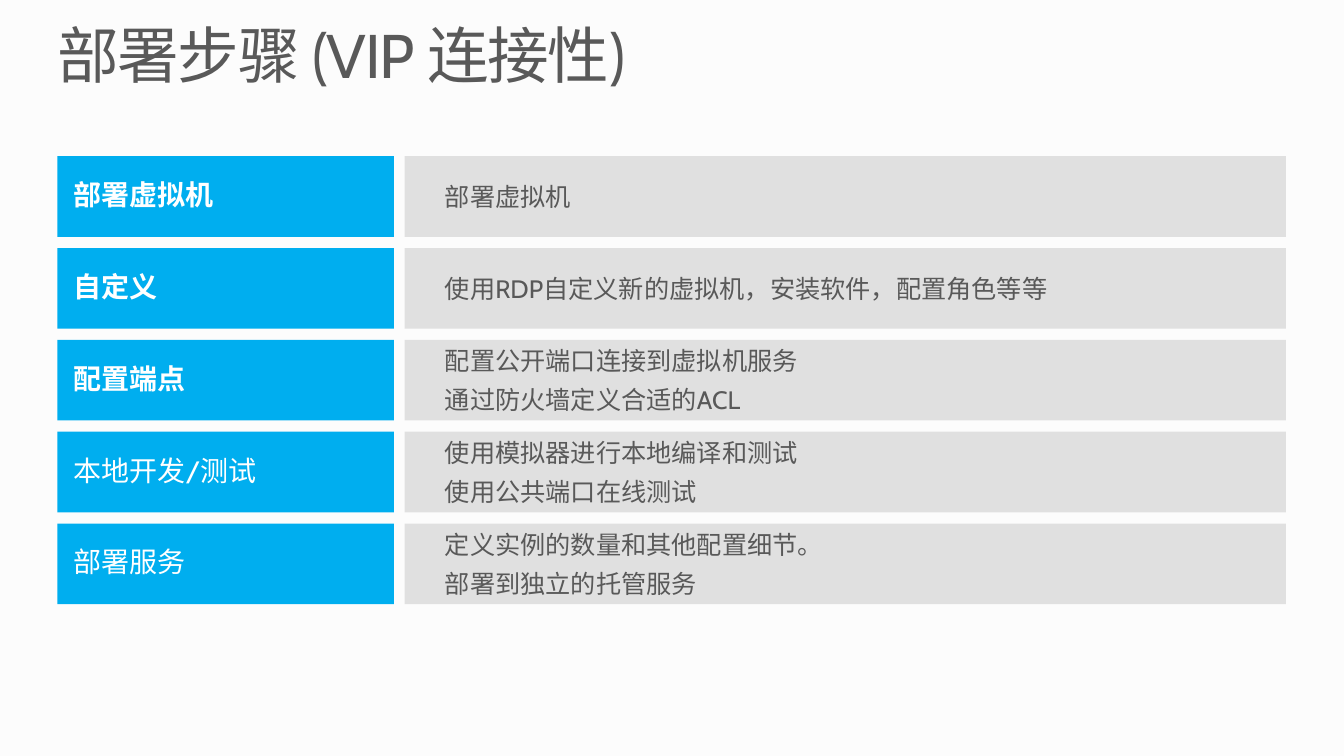
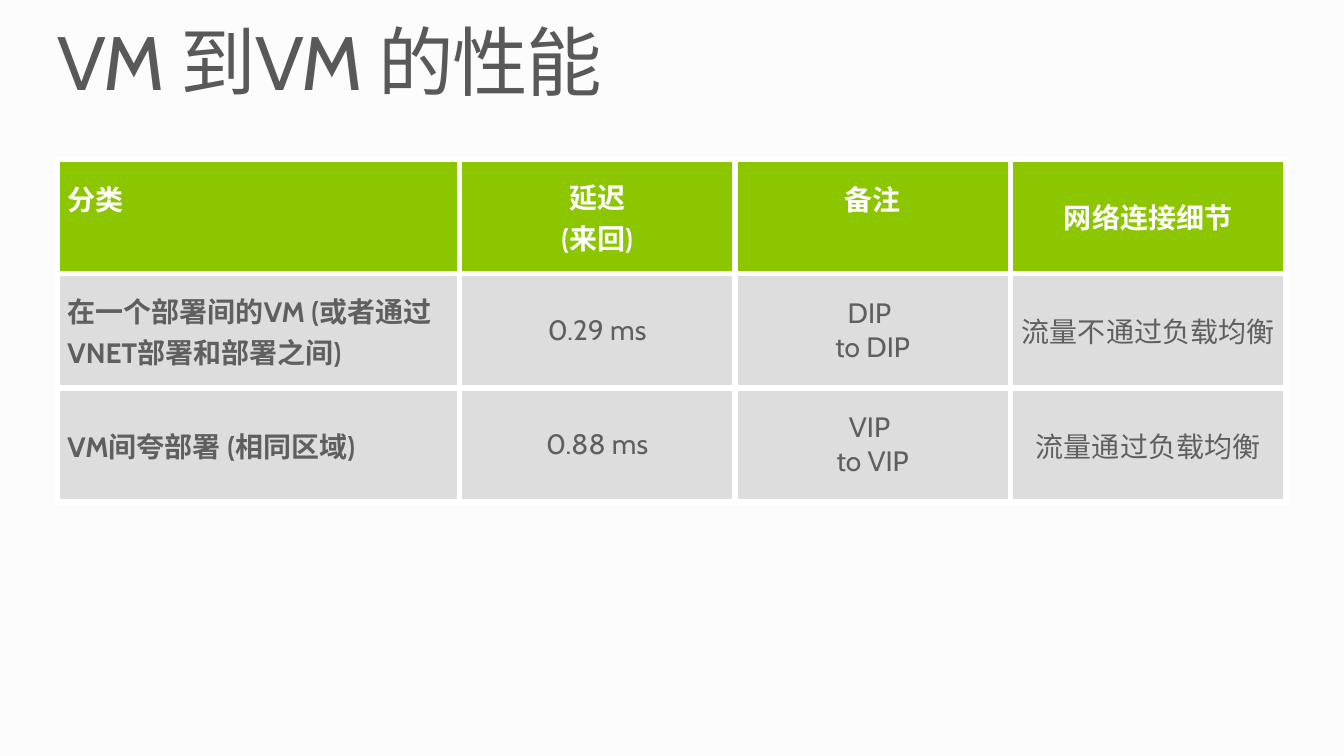
from lxml.etree import SubElement
from pptx import Presentation
from pptx.dml.color import RGBColor
from pptx.enum.shapes import MSO_SHAPE as Shape
from pptx.enum.text import MSO_ANCHOR as Anchor, PP_ALIGN as Align
from pptx.oxml.ns import qn
from pptx.util import Pt

COLORS = {
    "background": "FCFCFC",
    "text": "595959",
    "table_text": "5F5F5F",
    "white": "FFFFFF",
    "blue": "00AEEF",
    "green": "8CC600",
    "gray": "DDDDDD",
}
FONT = "Cabin"
LEFT, WIDTH = 41, 877.6

STEP_TOP, STEP_PITCH, STEP_HEIGHT = 111.6, 65.6, 57.6
LABEL_WIDTH, LABEL_GAP = 240.5, 7.5
LABEL_FRAME = {
    "margin_left": Pt(11.5), "margin_right": Pt(11.5),
    "margin_top": Pt(7.2), "margin_bottom": Pt(7.2),
}
DETAIL_FRAME = {
    "margin_left": Pt(28.8), "margin_right": Pt(7.2),
    "margin_top": Pt(3.6), "margin_bottom": Pt(3.6),
}
TITLE_FRAME = dict.fromkeys(LABEL_FRAME, 0)

# label, bold label, detail lines
STEPS = [
    ("部署虚拟机", True, ["部署虚拟机"]),
    ("自定义", True, ["使用RDP自定义新的虚拟机，安装软件，配置角色等等"]),
    ("配置端点", True, ["配置公开端口连接到虚拟机服务", "通过防火墙定义合适的ACL"]),
    ("本地开发/测试", False, ["使用模拟器进行本地编译和测试", "使用公共端口在线测试"]),
    ("部署服务", False, ["定义实例的数量和其他配置细节。", "部署到独立的托管服务"]),
]

TABLE_TOP, ROW_HEIGHT = 113.8, 81.6
COLUMN_WIDTHS = [287.2, 196.8, 196.8, 196.8]
LATENCY_ROWS = [
    ["分类\n", "延迟\n(来回)", "备注\n", "网络连接细节"],
    ["在一个部署间的VM (或者通过VNET部署和部署之间)", "0.29 ms", "DIP \nto DIP", "流量不通过负载均衡"],
    ["VM间夸部署 (相同区域)", "0.88 ms", "VIP \nto VIP", "流量通过负载均衡"],
]


def set_attributes(target, values):
    for name, value in values.items():
        setattr(target, name, value)


def set_fill(fill, color):
    fill.solid()
    fill.fore_color.rgb = RGBColor.from_string(COLORS[color])


def write_paragraph(paragraph, text, size, color, bold=False, font=FONT, **formats):
    paragraph.text = text
    set_attributes(paragraph, formats)
    for run in paragraph.runs:
        set_attributes(run.font, {"name": font, "size": Pt(size), "bold": bold})
        run.font.color.rgb = RGBColor.from_string(COLORS[color])


def add_slide(presentation, title, size):
    """Add a slide with the shared background and title style."""
    slide = presentation.slides.add_slide(presentation.slide_layouts[6])
    set_fill(slide.background.fill, "background")
    box = slide.shapes.add_textbox(Pt(LEFT), Pt(18), Pt(WIDTH), Pt(size * 1.1))
    set_attributes(box.text_frame, {**TITLE_FRAME, "word_wrap": True})
    paragraph = box.text_frame.paragraphs[0]
    write_paragraph(paragraph, title, size, "text", line_spacing=0.9)
    for run in paragraph.runs:
        run.font._element.set("spc", "-100")
    return slide


def add_bar(slide, left, top, width, color, frame_format):
    bar = slide.shapes.add_shape(Shape.RECTANGLE, Pt(left), Pt(top), Pt(width), Pt(STEP_HEIGHT))
    bar.shadow.inherit = False
    bar.line.fill.background()
    set_fill(bar.fill, color)
    set_attributes(bar.text_frame,
                   {**frame_format, "word_wrap": True, "vertical_anchor": Anchor.MIDDLE})
    return bar


def set_opacity(shape, percent):
    color = shape._element.spPr.find(qn("a:solidFill"))[0]
    SubElement(color, qn("a:alpha"), val=str(percent * 1000))


def add_step(slide, top, label, bold, details):
    label_bar = add_bar(slide, LEFT, top, LABEL_WIDTH, "blue", LABEL_FRAME)
    write_paragraph(label_bar.text_frame.paragraphs[0], label, 20, "white", bold,
                    alignment=Align.LEFT, line_spacing=0.9)

    offset = LABEL_WIDTH + LABEL_GAP
    detail_bar = add_bar(slide, LEFT + offset, top, WIDTH - offset, "gray", DETAIL_FRAME)
    set_opacity(detail_bar, 90)
    frame = detail_bar.text_frame
    for index, detail in enumerate(details):
        paragraph = frame.add_paragraph() if index else frame.paragraphs[0]
        write_paragraph(paragraph, detail, 18, "text",
                        alignment=Align.LEFT, space_before=Pt(6))


def set_borders(cell, color, width):
    properties = cell._tc.get_or_add_tcPr()
    for index, side in enumerate(("lnL", "lnR", "lnT", "lnB")):
        line = properties.makeelement(qn(f"a:{side}"), {"w": str(Pt(width))})
        fill = SubElement(line, qn("a:solidFill"))
        SubElement(fill, qn("a:srgbClr"), val=COLORS[color])
        properties.insert(index, line)


def add_table(slide, rows):
    frame = slide.shapes.add_table(len(rows), len(COLUMN_WIDTHS), Pt(LEFT), Pt(TABLE_TOP),
                                   Pt(WIDTH), Pt(ROW_HEIGHT * len(rows)))
    table = frame.table
    set_attributes(table, {"first_row": False, "horz_banding": False})
    for column, width in zip(table.columns, COLUMN_WIDTHS):
        column.width = Pt(width)
    for row_index, texts in enumerate(rows):
        table.rows[row_index].height = Pt(ROW_HEIGHT)
        header = row_index == 0
        for column_index, text in enumerate(texts):
            cell = table.cell(row_index, column_index)
            cell.vertical_anchor = Anchor.MIDDLE
            set_fill(cell.fill, "green" if header else "gray")
            set_borders(cell, "white", 4.5)
            first = column_index == 0
            last_header = header and column_index == len(texts) - 1
            write_paragraph(cell.text_frame.paragraphs[0], text, 20,
                            "white" if header else "table_text",
                            bold=header or first,
                            font="Calibri" if last_header else FONT,
                            alignment=Align.LEFT if first else Align.CENTER)


def main():
    presentation = Presentation()
    set_attributes(presentation, {"slide_width": Pt(960), "slide_height": Pt(540)})

    steps_slide = add_slide(presentation, "部署步骤 (VIP 连接性)", 44)
    for index, step in enumerate(STEPS):
        add_step(steps_slide, STEP_TOP + index * STEP_PITCH, *step)

    latency_slide = add_slide(presentation, "VM 到VM 的性能", 54)
    add_table(latency_slide, LATENCY_ROWS)

    presentation.save("out.pptx")


if __name__ == "__main__":
    main()
